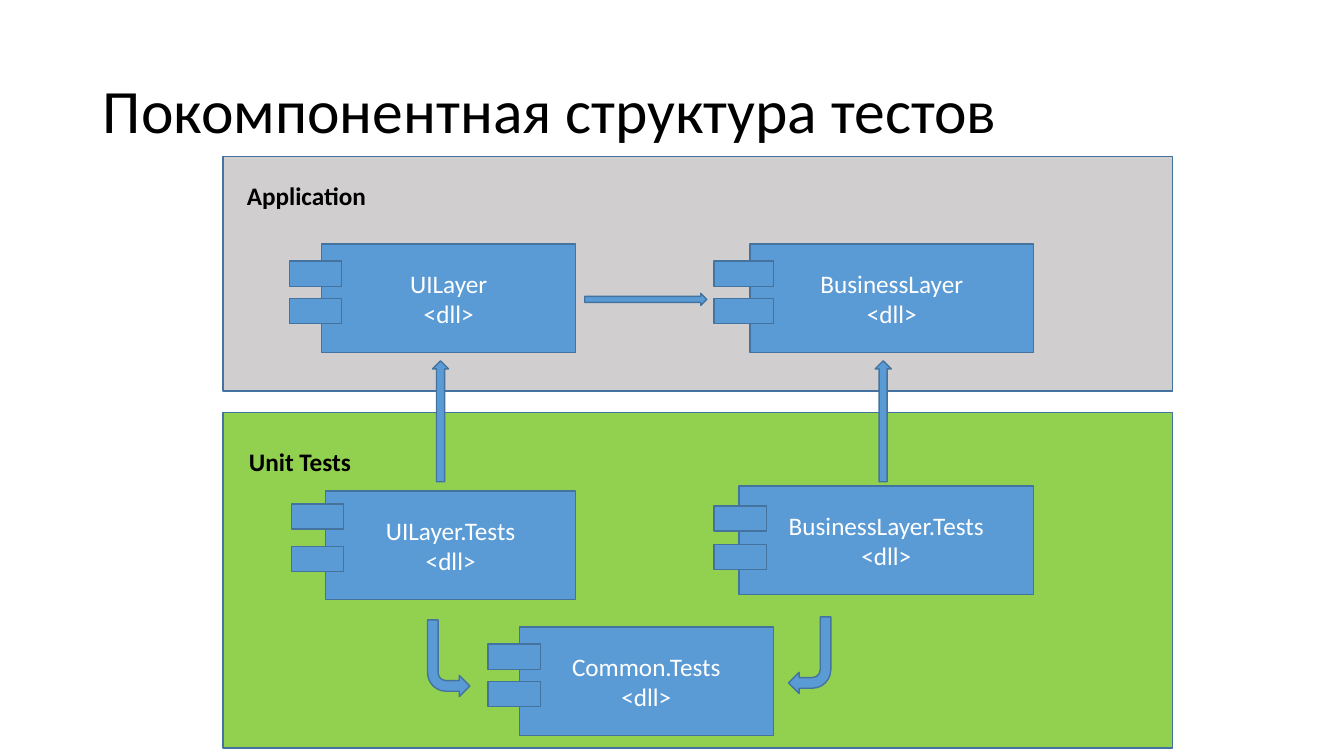
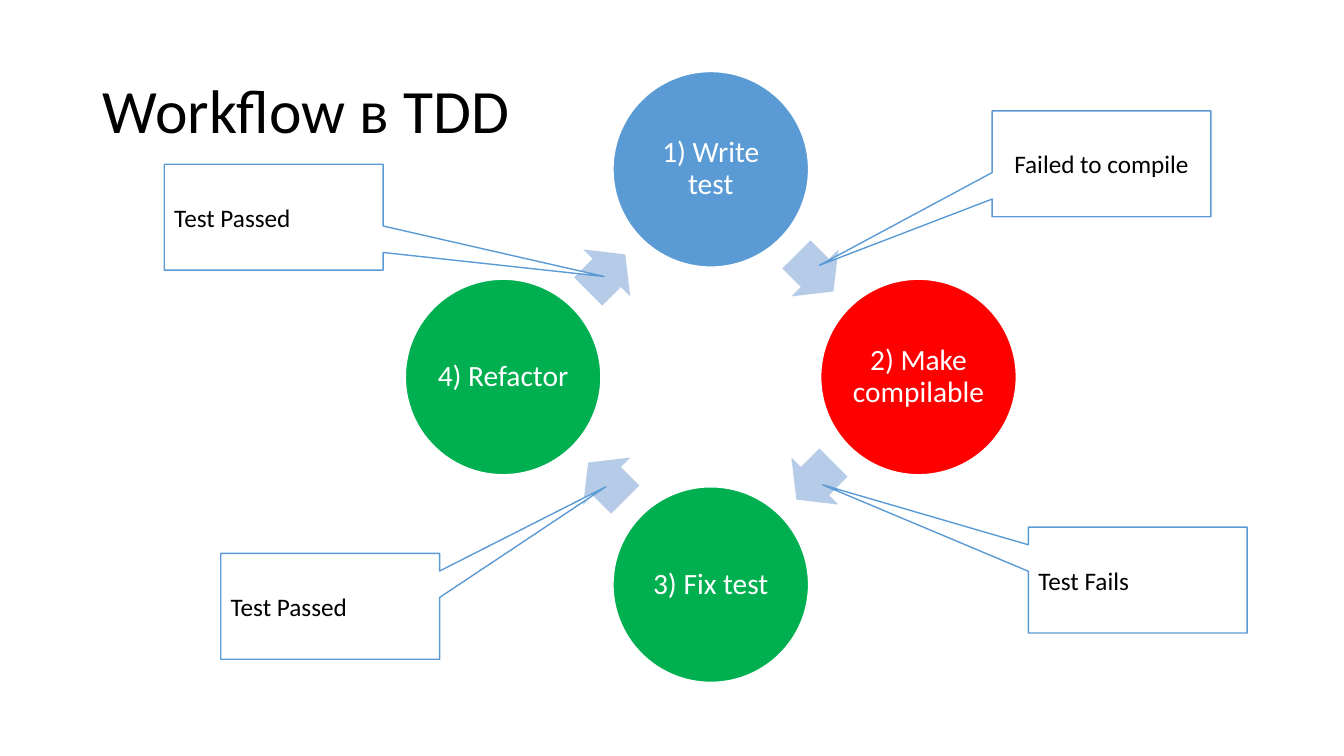
from math import cos, radians, sin

from pptx import Presentation
from pptx.dml.color import RGBColor
from pptx.enum.shapes import MSO_SHAPE as SHAPE
from pptx.enum.text import MSO_ANCHOR as ANCHOR, MSO_AUTO_SIZE as AUTO_SIZE, PP_ALIGN as ALIGN
from pptx.util import Inches, Pt

# Shared look
FONT = "Calibri"
COLORS = {
    "black": "000000", "white": "FFFFFF", "blue": "5B9BD5", "outline": "43739E",
    "gray": "D0CECE", "lime": "92D050", "red": "FF0000", "green": "00B050",
    "pale": "B5CBE7",
}
TITLE_AREA = (0.92, 0.4, 11.5, 1.45)

# Component diagram: panels, then components as
# (name, left, top, width, tab left, tab width, tab offsets)
PANELS = [
    ("Application", (2.21, 1.55, 9.42, 2.33), "gray", (2.35, 1.74)),
    ("Unit Tests", (2.21, 4.09, 9.42, 3.33), "lime", (2.37, 4.38)),
]
COMPONENTS = [
    ("UILayer", 3.19, 2.42, 2.52, 2.87, 0.52, (0.17, 0.54)),
    ("BusinessLayer", 7.44, 2.42, 2.81, 7.08, 0.59, (0.17, 0.54)),
    ("UILayer.Tests", 3.23, 4.87, 2.48, 2.89, 0.52, (0.13, 0.55)),
    ("BusinessLayer.Tests", 7.33, 4.82, 2.92, 7.08, 0.52, (0.2, 0.58)),
    ("Common.Tests", 5.15, 6.22, 2.52, 4.84, 0.52, (0.17, 0.54)),
]
COMPONENT_HEIGHT, TAB_HEIGHT = 1.08, 0.25
# (preset, area, rotation, mirrored)
DEPENDENCIES = [
    (SHAPE.RIGHT_ARROW, (5.8, 2.91, 1.21, 0.12), 0, False),
    (SHAPE.UP_ARROW, (4.29, 3.58, 0.16, 1.2), 0, False),
    (SHAPE.UP_ARROW, (8.68, 3.58, 0.16, 1.2), 0, False),
    (SHAPE.BENT_ARROW, (7.82, 6.12, 0.42, 0.76), 180, False),
    (SHAPE.BENT_ARROW, (4.24, 6.15, 0.42, 0.76), 180, True),
]

# Test cycle: steps run clockwise from the top
STEPS = [
    ("1) Write test", "blue"), ("2) Make compilable", "red"),
    ("3) Fix test", "green"), ("4) Refactor", "green"),
]
CYCLE_CENTER, CYCLE_RADIUS, ARROW_RADIUS = (7.05, 3.74), 2.06, 1.46
STEP_SIZE, ARROW_SIZE = 1.94, (0.52, 0.66)
CALLOUT_SIZE = (2.17, 1.05)
# (text, corner, pointer tip as shares of the callout's size, alignment)
CALLOUTS = [
    ("Failed to compile", (9.84, 1.1), (-1.29, 0.96), ALIGN.CENTER),
    ("Test Fails", (10.2, 5.23), (-1.44, -0.9), ALIGN.LEFT),
    ("Test Passed", (2.19, 5.49), (1.26, -1.13), ALIGN.LEFT),
    ("Test Passed", (1.63, 1.63), (1.51, 0.56), ALIGN.LEFT),
]


def write_text(shape, text, size=18, color="white", bold=False, align=ALIGN.CENTER,
               anchor=ANCHOR.MIDDLE, line_spacing=None, inset=None):
    frame = shape.text_frame
    frame.word_wrap = True
    frame.auto_size = AUTO_SIZE.NONE
    frame.vertical_anchor = anchor
    if inset is not None:
        frame.margin_left = frame.margin_right = Inches(inset)
        frame.margin_top = frame.margin_bottom = Inches(inset)
    frame.text = text
    for paragraph in frame.paragraphs:
        paragraph.alignment = align
        paragraph.line_spacing = line_spacing
        font = paragraph.runs[0].font
        font.name, font.size, font.bold = FONT, Pt(size), bold
        font.color.rgb = RGBColor.from_string(COLORS[color])


def add_shape(slide, preset, area, fill="blue", line="outline", adjustments=(), rotation=0):
    shape = slide.shapes.add_shape(preset, *map(Inches, area))
    shape.shadow.inherit = False
    shape.rotation = rotation
    shape.fill.solid()
    shape.fill.fore_color.rgb = RGBColor.from_string(COLORS[fill])
    if line:
        shape.line.color.rgb = RGBColor.from_string(COLORS[line])
        shape.line.width = Pt(1)
    else:
        shape.line.fill.background()
    for index, value in enumerate(adjustments):
        shape.adjustments[index] = value
    return shape


def add_slide(presentation, title):
    slide = presentation.slides.add_slide(presentation.slide_layouts[5])
    shape = slide.shapes.title
    shape.left, shape.top, shape.width, shape.height = map(Inches, TITLE_AREA)
    write_text(shape, title, size=44, color="black", align=ALIGN.LEFT, line_spacing=0.9)
    return slide


def centered(x, y, width, height):
    return x - width / 2, y - height / 2, width, height


def on_cycle(radius, angle):
    """Point at a clockwise angle in degrees from the top of the cycle."""
    x, y = CYCLE_CENTER
    return x + radius * sin(radians(angle)), y - radius * cos(radians(angle))


def build_components(presentation):
    slide = add_slide(presentation, "Покомпонентная структура тестов")
    for name, area, fill, corner in PANELS:
        add_shape(slide, SHAPE.RECTANGLE, area, fill)
        label = slide.shapes.add_textbox(*map(Inches, (*corner, 1.92, 0.4)))
        write_text(label, name, color="black", bold=True, align=ALIGN.LEFT, anchor=ANCHOR.TOP)
    for name, left, top, width, tab_left, tab_width, offsets in COMPONENTS:
        body = add_shape(slide, SHAPE.RECTANGLE, (left, top, width, COMPONENT_HEIGHT))
        write_text(body, f"{name}\n<dll>")
        for offset in offsets:
            add_shape(slide, SHAPE.RECTANGLE, (tab_left, top + offset, tab_width, TAB_HEIGHT))
    for preset, area, rotation, mirrored in DEPENDENCIES:
        arrow = add_shape(slide, preset, area, rotation=rotation)
        if mirrored:
            arrow.element.spPr.xfrm.set("flipH", "1")


def build_cycle(presentation):
    slide = add_slide(presentation, "Workflow в TDD")
    for index, (text, fill) in enumerate(STEPS):
        angle = index * 360 / len(STEPS)
        area = centered(*on_cycle(CYCLE_RADIUS, angle), STEP_SIZE, STEP_SIZE)
        step = add_shape(slide, SHAPE.OVAL, area, fill, "white")
        write_text(step, text, size=21, line_spacing=0.9, inset=0.03)
        turn = angle + 180 / len(STEPS)
        area = centered(*on_cycle(ARROW_RADIUS, turn), *ARROW_SIZE)
        add_shape(slide, SHAPE.RIGHT_ARROW, area, "pale", None, (0.6, 0.5), turn)
    for text, corner, tip, align in CALLOUTS:
        callout = add_shape(slide, SHAPE.RECTANGULAR_CALLOUT, (*corner, *CALLOUT_SIZE),
                            "white", "blue", tip)
        write_text(callout, text, color="black", align=align)


def main():
    presentation = Presentation()
    presentation.slide_width, presentation.slide_height = Inches(13.33), Inches(7.5)
    build_components(presentation)
    build_cycle(presentation)
    presentation.save("out.pptx")


if __name__ == "__main__":
    main()
